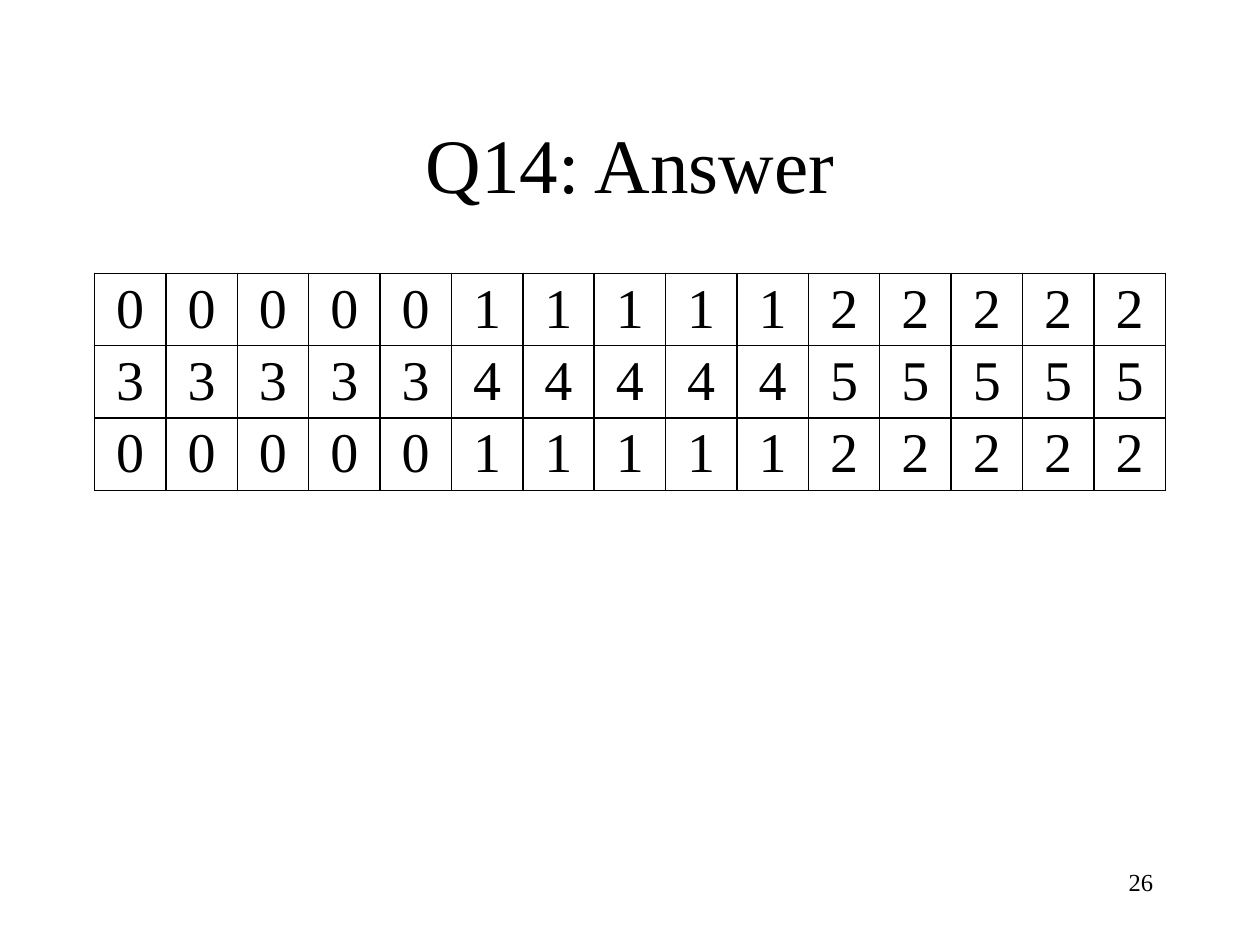
from dataclasses import dataclass

from lxml import etree
from pptx import Presentation
from pptx.dml.color import RGBColor
from pptx.enum.text import MSO_ANCHOR, PP_ALIGN
from pptx.oxml.ns import qn
from pptx.util import Inches, Pt

CENTER, RIGHT = PP_ALIGN.CENTER, PP_ALIGN.RIGHT
MIDDLE = MSO_ANCHOR.MIDDLE


@dataclass(frozen=True)
class Theme:
    font: str = "Times New Roman"
    ink: str = "000000"
    paper: str = "FFFFFF"
    title: int = 44
    cell: int = 32
    number: int = 14
    line: int = 1


THEME = Theme()
REPEAT = 5
ROWS = ["012", "345", "012"]


def write(frame, text, size, align):
    frame.text = text
    para = frame.paragraphs[0]
    para.alignment = align
    para.font.name = THEME.font
    para.font.size = Pt(size)
    para.font.color.rgb = RGBColor.from_string(THEME.ink)


def add_title(slide, text):
    title = slide.shapes.title
    title.left, title.top = Inches(0.75), Inches(0.67)
    title.width, title.height = Inches(8.5), Inches(1.25)
    title.text_frame.vertical_anchor = MIDDLE
    write(title.text_frame, text, THEME.title, CENTER)


def set_border(cell):
    props = cell._tc.get_or_add_tcPr()
    for index, side in enumerate(("lnL", "lnR", "lnT", "lnB")):
        line = etree.Element(qn(f"a:{side}"), w=str(Pt(THEME.line)))
        fill = etree.SubElement(line, qn("a:solidFill"))
        etree.SubElement(fill, qn("a:srgbClr"), val=THEME.ink)
        props.insert(index, line)


def style_cell(cell, text):
    cell.margin_top = cell.margin_bottom = Inches(0.04)
    cell.fill.solid()
    cell.fill.fore_color.rgb = RGBColor.from_string(THEME.paper)
    set_border(cell)
    write(cell.text_frame, text, THEME.cell, CENTER)


def add_grid(slide, rows):
    frame = slide.shapes.add_table(
        len(rows), len(rows[0]),
        Inches(0.75), Inches(2.17), Inches(8.5), Inches(1.22))
    table = frame.table
    table.first_row = table.horz_banding = False
    for r, row in enumerate(rows):
        for c, digit in enumerate(row):
            style_cell(table.cell(r, c), digit)


def add_number(slide, text):
    box = slide.shapes.add_textbox(
        Inches(7.17), Inches(6.83), Inches(2.08), Inches(0.5))
    box.text_frame.word_wrap = True
    write(box.text_frame, text, THEME.number, RIGHT)


def main():
    deck = Presentation()
    deck.slide_width, deck.slide_height = Inches(10), Inches(7.5)
    slide = deck.slides.add_slide(deck.slide_layouts[5])
    add_title(slide, "Q14: Answer")
    add_grid(slide, ["".join(d * REPEAT for d in row) for row in ROWS])
    add_number(slide, "26")
    deck.save("out.pptx")


main()
